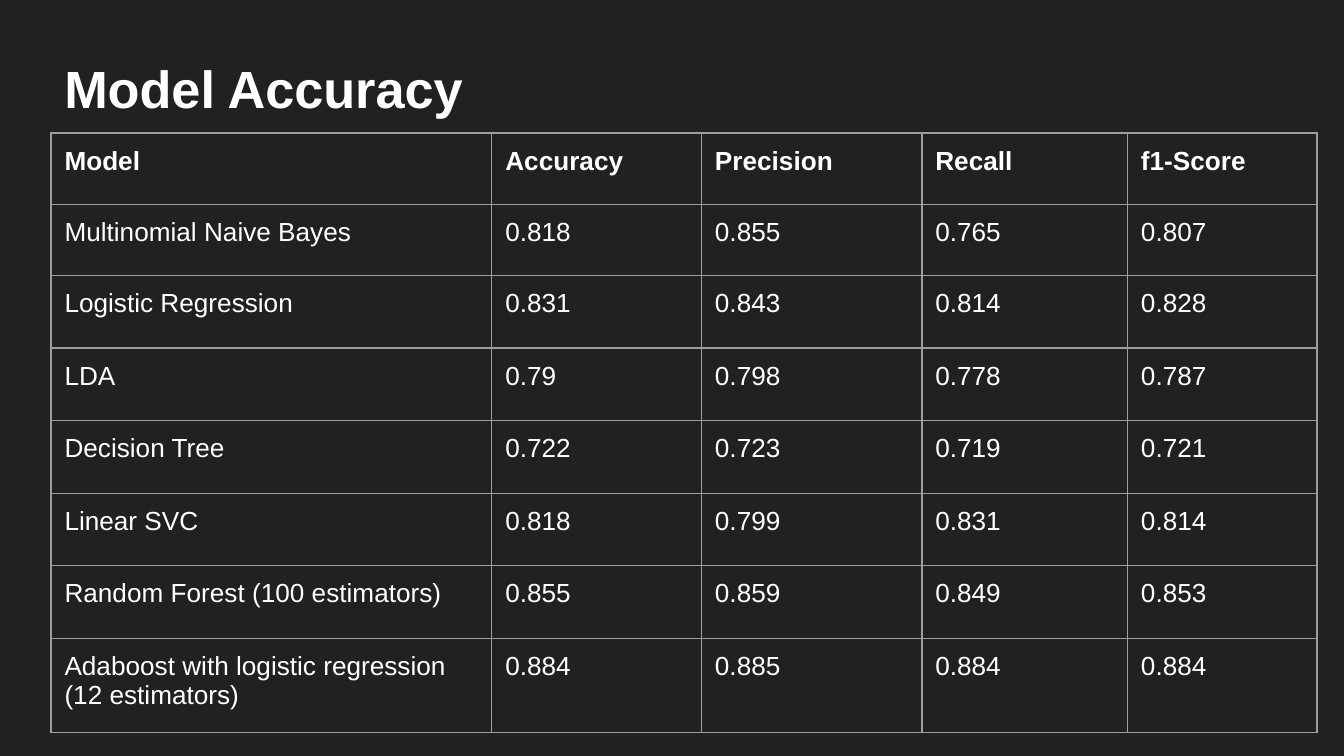
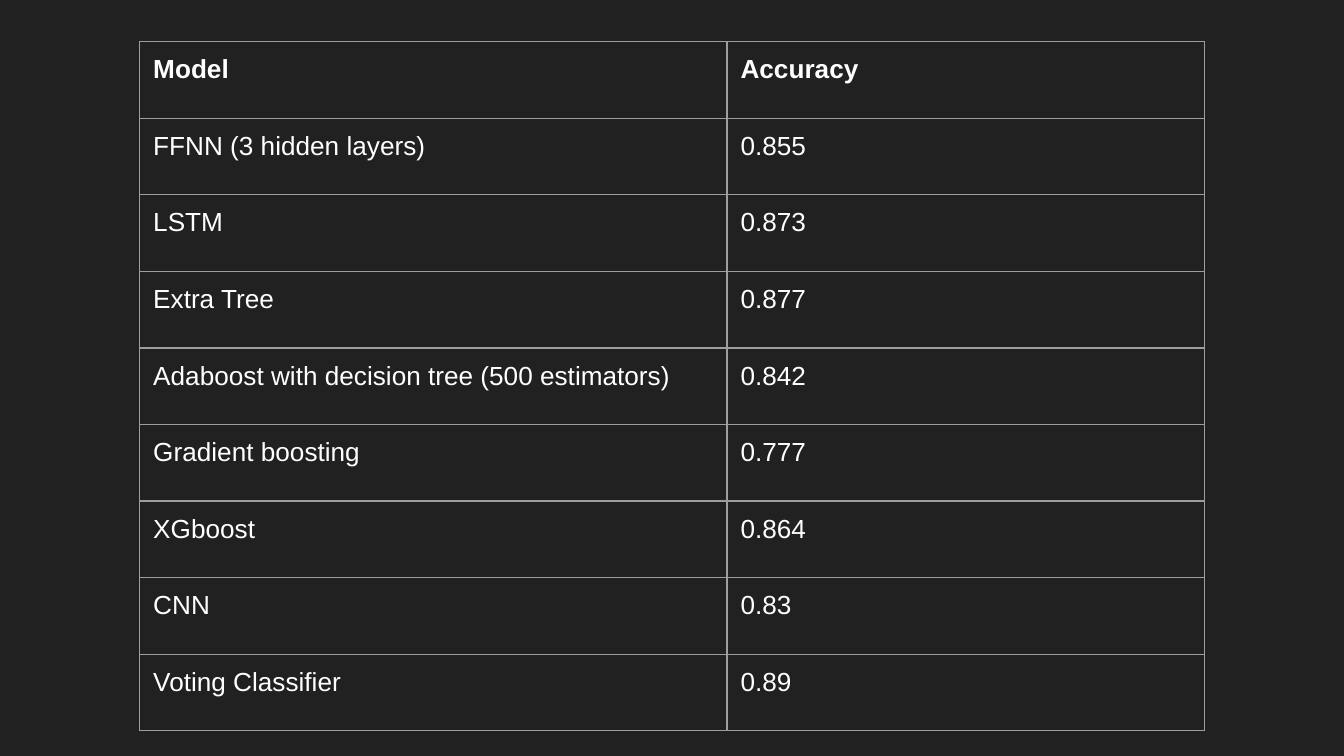
from dataclasses import dataclass

from lxml.etree import SubElement
from pptx import Presentation
from pptx.dml.color import RGBColor as RGB
from pptx.oxml.ns import qn
from pptx.slide import Slide
from pptx.text.text import TextFrame as Frame
from pptx.util import Inches, Pt

DARK = RGB(0x21, 0x21, 0x21)
WHITE = RGB(0xFF, 0xFF, 0xFF)
GREY = RGB(0x9E, 0x9E, 0x9E)
FONT = "Arial"
PAD = Inches(0.1)
RULE = Pt(0.75)


@dataclass
class Grid:
    """A table: its corner, column widths, row heights and cell texts."""
    left: float
    top: float
    cols: list[float]
    rows: list[float]
    cells: list[tuple[str, ...]]


SCORES = Grid(
    0.38, 0.99, [3.28, 1.56, 1.64, 1.53, 1.41],
    [0.53] * 2 + [0.54] * 5 + [0.7],
    [
        ("Model", "Accuracy", "Precision", "Recall", "f1-Score"),
        ("Multinomial Naive Bayes", "0.818", "0.855", "0.765", "0.807"),
        ("Logistic Regression", "0.831", "0.843", "0.814", "0.828"),
        ("LDA", "0.79", "0.798", "0.778", "0.787"),
        ("Decision Tree", "0.722", "0.723", "0.719", "0.721"),
        ("Linear SVC", "0.818", "0.799", "0.831", "0.814"),
        ("Random Forest (100 estimators)", "0.855", "0.859", "0.849", "0.853"),
        ("Adaboost with logistic regression\n(12 estimators)",
         "0.884", "0.885", "0.884", "0.884"),
    ],
)

MORE = Grid(
    1.04, 0.31, [4.37, 3.55], [0.57] * 9,
    [
        ("Model", "Accuracy"),
        ("FFNN (3 hidden layers)", "0.855"),
        ("LSTM", "0.873"),
        ("Extra Tree", "0.877"),
        ("Adaboost with decision tree (500 estimators)", "0.842"),
        ("Gradient boosting", "0.777"),
        ("XGboost", "0.864"),
        ("CNN", "0.83"),
        ("Voting Classifier", "0.89"),
    ],
)


def write(frame: Frame, text: str, *, size: float = 14, bold: bool = False) -> None:
    """Fill a frame with one paragraph per line of text."""
    frame.text = text
    for para in frame.paragraphs:
        for run in para.runs:
            font = run.font
            font.name, font.size, font.bold = FONT, Pt(size), bold
            font.color.rgb = WHITE


def pad(box) -> None:
    """Set the same inner margin on all sides of a cell or frame."""
    box.margin_left = box.margin_right = PAD
    box.margin_top = box.margin_bottom = PAD


def edge(cell) -> None:
    """Draw a thin grey line on each side of a cell."""
    props = cell._tc.get_or_add_tcPr()
    for side in ("lnL", "lnR", "lnT", "lnB"):
        line = SubElement(props, qn(f"a:{side}"), w=str(int(RULE)))
        fill = SubElement(line, qn("a:solidFill"))
        SubElement(fill, qn("a:srgbClr"), val=str(GREY))


def add_grid(slide: Slide, grid: Grid) -> None:
    """Add a ruled table with a bold first row."""
    table = slide.shapes.add_table(
        len(grid.rows), len(grid.cols), Inches(grid.left), Inches(grid.top),
        Inches(sum(grid.cols)), Inches(sum(grid.rows))).table
    table.first_row = table.horz_banding = False
    for col, width in zip(table.columns, grid.cols):
        col.width = Inches(width)
    for row, height in zip(table.rows, grid.rows):
        row.height = Inches(height)
    for r, texts in enumerate(grid.cells):
        for c, text in enumerate(texts):
            cell = table.cell(r, c)
            pad(cell)
            edge(cell)
            cell.fill.background()
            write(cell.text_frame, text, bold=r == 0)


def add_title(slide: Slide, text: str) -> None:
    """Add the slide title."""
    frame = slide.shapes.add_textbox(
        Inches(0.38), Inches(0.32), Inches(8.32), Inches(0.53)).text_frame
    frame.word_wrap = True
    pad(frame)
    write(frame, text, size=28, bold=True)


def add_slide(deck, grid: Grid, title: str = "") -> None:
    """Add a dark slide with a table and, if given, a title."""
    slide = deck.slides.add_slide(deck.slide_layouts[6])
    fill = slide.background.fill
    fill.solid()
    fill.fore_color.rgb = DARK
    add_grid(slide, grid)
    if title:
        add_title(slide, title)


def main() -> None:
    """Build and save the deck."""
    deck = Presentation()
    # A 16:9 page.
    deck.slide_width = Inches(10)
    deck.slide_height = deck.slide_width * 9 // 16
    add_slide(deck, SCORES, "Model Accuracy")
    add_slide(deck, MORE)
    deck.save("out.pptx")


main()
